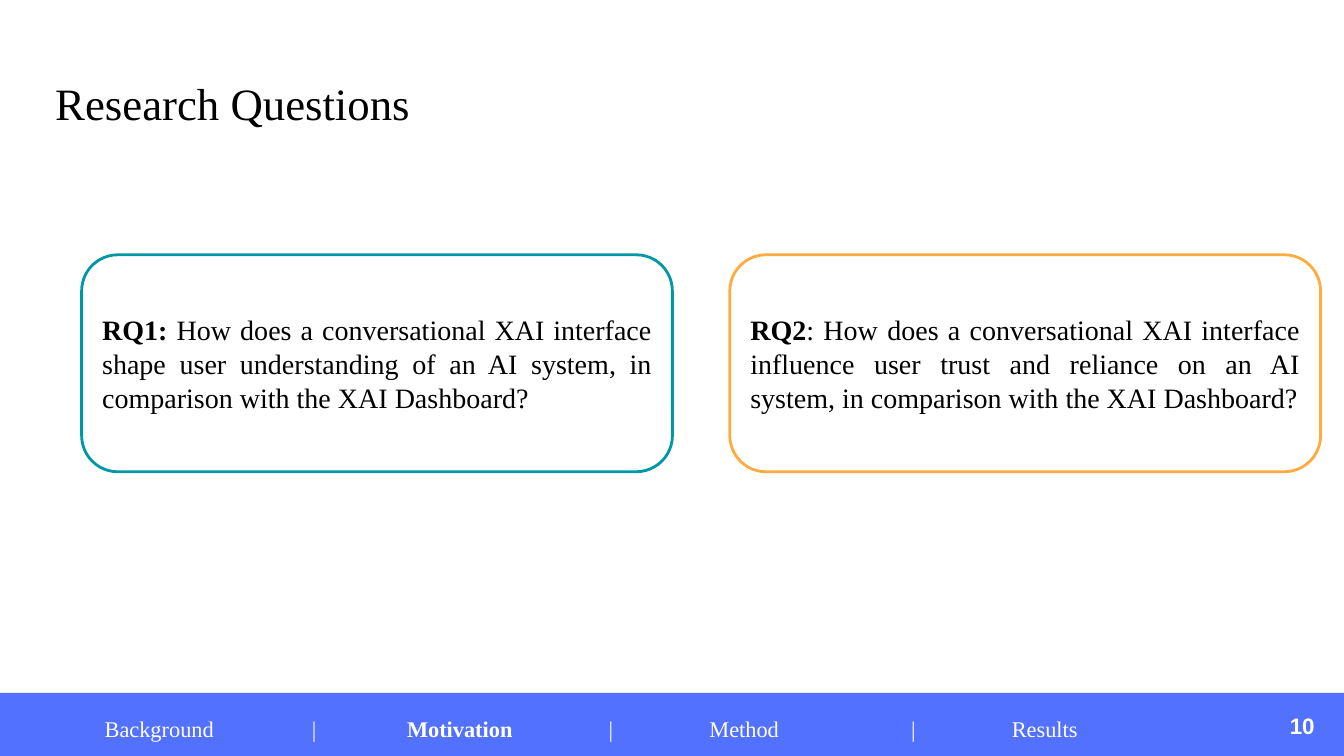
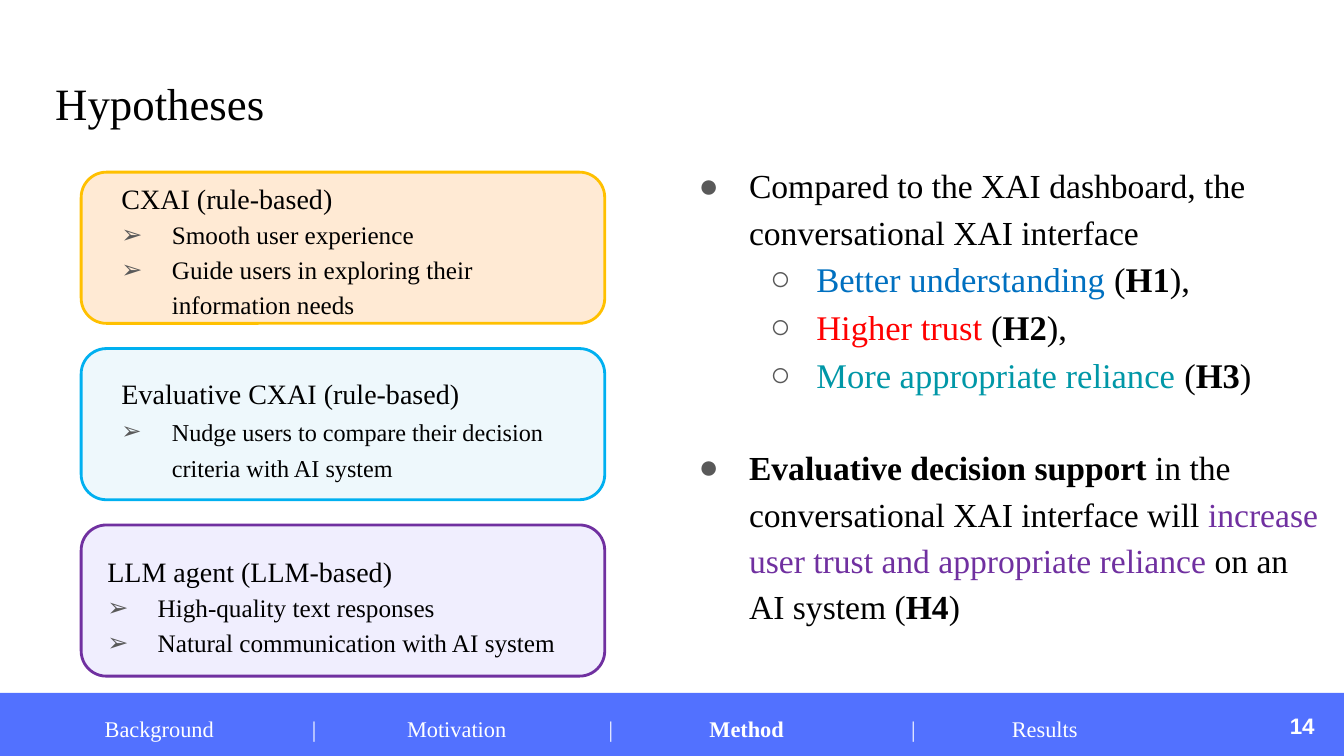
from lxml import etree
from pptx import Presentation
from pptx.dml.color import RGBColor
from pptx.enum import shapes, text
from pptx.oxml import ns
from pptx.util import Pt

BLACK = RGBColor(0x00, 0x00, 0x00)
WHITE = RGBColor(0xFF, 0xFF, 0xFF)
BAND = RGBColor(0x52, 0x71, 0xFF)
TEAL = RGBColor(0x00, 0x97, 0xA7)
ORANGE = RGBColor(0xFF, 0xAB, 0x40)
BLUE = RGBColor(0x00, 0x70, 0xC0)
RED = RGBColor(0xFF, 0x00, 0x00)
PURPLE = RGBColor(0x70, 0x30, 0xA0)
LILAC = RGBColor(0xF0, 0xEE, 0xFE)
GOLD = RGBColor(0xFF, 0xC0, 0x00)
PEACH = RGBColor(0xFF, 0xEA, 0xD4)
SKY = RGBColor(0x00, 0xB0, 0xF0)
PALE_SKY = RGBColor(0xEE, 0xF8, 0xFC)
BULLET_GREY = "595959"
SERIF, SANS = "Times New Roman", "Arial"

SECTIONS = ["Background", "Motivation", "Method", "Results"]
SECTION_TABS = [148, 216, 360, 432, 576, 648]

QUESTIONS = [
    (TEAL, [("RQ1: ", BLACK, True),
            ("How does a conversational XAI interface shape user understanding of an AI system, "
             "in comparison with the XAI Dashboard?", BLACK, False)]),
    (ORANGE, [("RQ2", BLACK, True),
              (": How does a conversational XAI interface influence user trust and reliance on an "
               "AI system, in comparison with the XAI Dashboard?", BLACK, False)]),
]

INTERFACES = [
    {"heading": "CXAI (rule-based)", "fill": PEACH, "line": GOLD,
     "points": ["Smooth user experience", "Guide users in exploring their information needs"],
     "size": 18, "spacing": 1.15, "text_at": (67.7, 118.8, 347, 125)},
    {"heading": "Evaluative CXAI (rule-based)", "fill": PALE_SKY, "line": SKY,
     "points": ["Nudge users to compare their decision criteria with AI system"],
     "size": 17.3, "spacing": 1.25, "text_at": (67.7, 257.8, 347, 96.5)},
    {"heading": "LLM agent (LLM-based)", "fill": LILAC, "line": PURPLE,
     "points": ["High-quality text responses", "Natural communication with AI system"],
     "size": 18, "spacing": 1.15, "text_at": (57.6, 385.2, 374, 97)},
]

OUTCOMES = [
    ("Better understanding ", BLUE, "H1", "),"),
    ("Higher trust ", RED, "H2", "),"),
    ("More appropriate reliance ", TEAL, "H3", ")"),
]
COMPARISON = [("Compared to the XAI dashboard, the conversational XAI interface", BLACK, False)]
EVALUATIVE = [
    ("Evaluative decision support ", BLACK, True),
    ("in the conversational XAI interface will ", BLACK, False),
    ("increase user trust and appropriate reliance", PURPLE, False),
    (" on an AI system (", BLACK, False),
    ("H4", BLACK, True),
    (")", BLACK, False),
]


def add_element(parent, tag, **attributes):
    return etree.SubElement(parent, ns.qn("a:" + tag), attributes)


def write(paragraph, runs, size, face=SERIF, bullet=None, indent=None, tabs=(), **layout):
    properties = paragraph._p.get_or_add_pPr()
    if indent:
        for key, points in zip(("marL", "indent"), indent):
            properties.set(key, str(Pt(points)))
    if bullet:
        add_element(add_element(properties, "buClr"), "srgbClr", val=BULLET_GREY)
        add_element(properties, "buFont", typeface=SANS)
        add_element(properties, "buChar", char=bullet)
    if tabs:
        stops = add_element(properties, "tabLst")
        for stop in tabs:
            add_element(stops, "tab", pos=str(Pt(stop)), algn="l")
    for key, value in layout.items():
        setattr(paragraph, key, value)
    for words, colour, bold in runs:
        run = paragraph.add_run()
        run.text = words
        for key, value in {"name": face, "size": Pt(size), "bold": bold}.items():
            setattr(run.font, key, value)
        run.font.color.rgb = colour


def add_text(slide, at, paragraphs, inset=7.2, anchor=text.MSO_ANCHOR.TOP):
    frame = slide.shapes.add_textbox(*map(Pt, at)).text_frame
    settings = {"word_wrap": True, "vertical_anchor": anchor,
                "margin_top": Pt(inset), "margin_bottom": Pt(inset)}
    for key, value in settings.items():
        setattr(frame, key, value)
    for index, paragraph in enumerate(paragraphs):
        write(frame.add_paragraph() if index else frame.paragraphs[0], **paragraph)


def add_panel(slide, kind, at, fill, line=None):
    panel = slide.shapes.add_shape(kind, *map(Pt, at))
    panel.shadow.inherit = False
    panel.fill.solid()
    panel.fill.fore_color.rgb = fill
    if line is None:
        panel.line.fill.background()
    else:
        panel.line.color.rgb = line
        panel.line.width = Pt(2)
    return panel


def add_frame_slide(deck, title, number, current):
    slide = deck.slides.add_slide(deck.slide_layouts[6])
    add_panel(slide, shapes.MSO_SHAPE.RECTANGLE, (0, 495, 960, 45), BAND)
    add_text(slide, (32.4, 46.8, 894, 60.5), [{"runs": [(title, BLACK, False)], "size": 32}])
    add_text(slide, (888.5, 497, 57.6, 43),
             [{"runs": [(str(number), WHITE, True)], "size": 16, "face": SANS,
               "alignment": text.PP_ALIGN.RIGHT}], anchor=text.MSO_ANCHOR.MIDDLE)
    links = []
    for index, section in enumerate(SECTIONS):
        if index:
            links.append(("\t|\t", WHITE, False))
        links.append((section, WHITE, section == current))
    add_text(slide, (67.7, 507, 800, 26.6),
             [{"runs": links, "size": 16, "tabs": SECTION_TABS}], inset=3.6)
    return slide


def add_questions(deck):
    slide = add_frame_slide(deck, "Research Questions", 10, "Motivation")
    for index, (colour, question) in enumerate(QUESTIONS):
        panel = add_panel(slide, shapes.MSO_SHAPE.FLOWCHART_ALTERNATE_PROCESS,
                          (58.3 + index * 463, 182, 422, 155), WHITE, colour)
        panel.text_frame.word_wrap = True
        panel.text_frame.vertical_anchor = text.MSO_ANCHOR.MIDDLE
        write(panel.text_frame.paragraphs[0], question, 20, alignment=text.PP_ALIGN.JUSTIFY)


def add_hypotheses(deck):
    slide = add_frame_slide(deck, "Hypotheses", 14, "Method")
    for index, interface in enumerate(INTERFACES):
        add_panel(slide, shapes.MSO_SHAPE.ROUNDED_RECTANGLE,
                  (58, 123 + index * 126, 374, 108), interface["fill"], interface["line"])
        heading = {"runs": [(interface["heading"], BLACK, False)], "size": 20,
                   "indent": (12, 0), "line_spacing": 1.15}
        points = [{"runs": [(point, BLACK, False)], "size": interface["size"], "bullet": "➢",
                   "indent": (48, -36), "line_spacing": interface["spacing"]}
                  for point in interface["points"]]
        add_text(slide, interface["text_at"], [heading] + points)

    main = {"size": 24, "bullet": "●", "indent": (48, -36), "line_spacing": 1.15}
    sub = {"size": 24.7, "bullet": "○", "indent": (96, -33), "line_spacing": 1.15, "level": 1}
    outcomes = [{"runs": [(effect, colour, False), ("(", BLACK, False),
                          (label, BLACK, True), (ending, BLACK, False)], **sub}
                for effect, colour, label, ending in OUTCOMES]
    add_text(slide, (480, 106.6, 473, 361),
             [{"runs": COMPARISON, **main}, *outcomes,
              {"runs": EVALUATIVE, "space_before": Pt(33), **main}])


def main():
    deck = Presentation()
    deck.slide_width, deck.slide_height = Pt(960), Pt(540)
    add_questions(deck)
    add_hypotheses(deck)
    deck.save("out.pptx")


if __name__ == "__main__":
    main()
